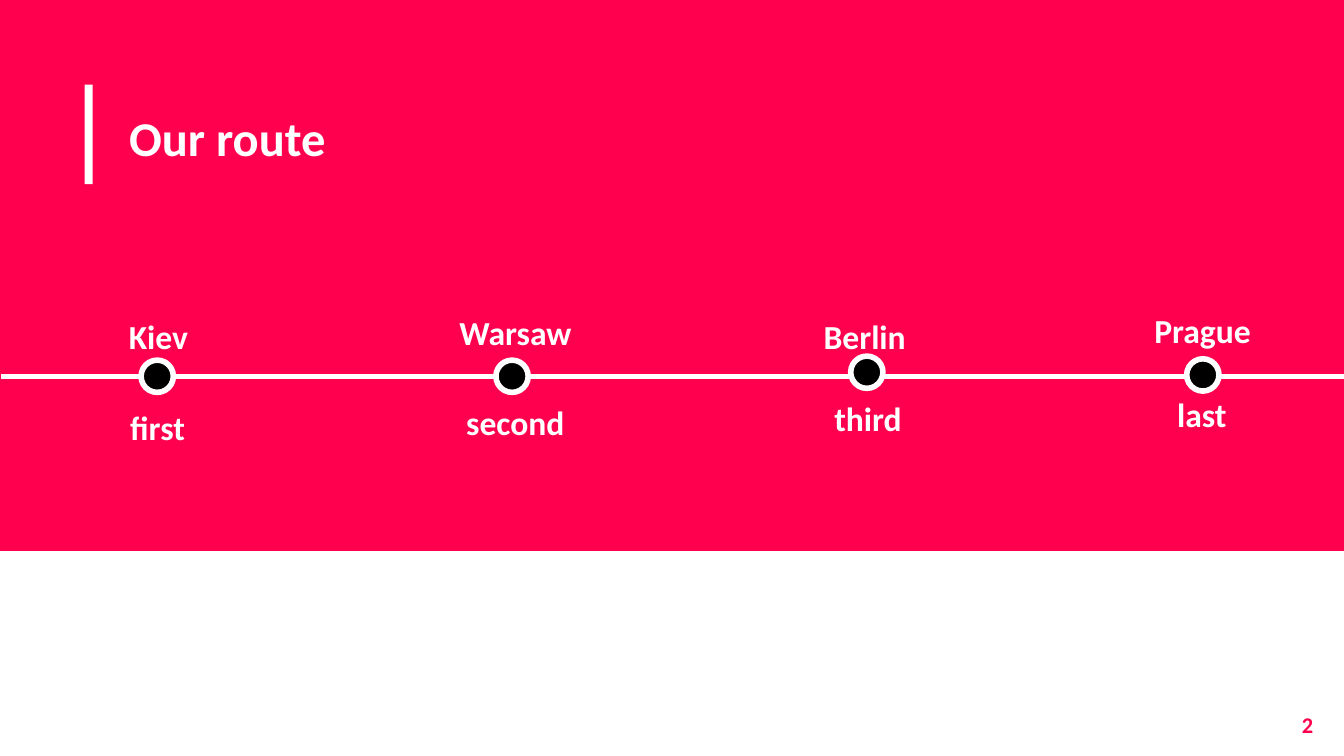
from dataclasses import dataclass

from pptx import Presentation
from pptx.dml.color import RGBColor
from pptx.enum.shapes import MSO_CONNECTOR as Connector, MSO_SHAPE as Shape
from pptx.enum.text import MSO_ANCHOR as Anchor, MSO_AUTO_SIZE as AutoSize, PP_ALIGN as Align
from pptx.oxml.ns import qn
from pptx.util import Inches, Pt


@dataclass(frozen=True)
class Theme:
    accent: RGBColor = RGBColor.from_string("FF004E")
    light: RGBColor = RGBColor.from_string("FFFFFF")
    dark: RGBColor = RGBColor.from_string("000000")
    font: str = "Calibri"
    title_size: int = 26
    label_size: int = 18
    number_size: int = 12
    stroke: int = 3


THEME = Theme()
SLIDE_WIDTH = 10
SLIDE_HEIGHT = SLIDE_WIDTH * 9 / 16
LINE_Y = 2.8
STOP_SIZE = 0.24
CITY_INSETS = (0.1, 0.05)
STEP_INSETS = (0.1, 0.1)

STOPS = [
    (1.05, 2.68, ("Kiev", (0.86, 2.3, 5.02, 0.4), CITY_INSETS),
     ("first", (0.87, 2.93, 1.29, 0.45), STEP_INSETS)),
    (3.69, 2.68, ("Warsaw", (3.32, 2.27, 5.02, 0.4), CITY_INSETS),
     ("second", (3.37, 2.89, 1.29, 0.45), STEP_INSETS)),
    (6.33, 2.65, ("Berlin", (6.03, 2.3, 5.02, 0.4), CITY_INSETS),
     ("third", (6.11, 2.86, 1.17, 0.45), STEP_INSETS)),
    (8.83, 2.67, ("Prague", (8.49, 2.26, 1.29, 0.4), CITY_INSETS),
     ("last", (8.66, 2.88, 1.09, 0.4), CITY_INSETS)),
]


def set_attributes(target, values):
    for name, value in values.items():
        setattr(target, name, value)


def write_text(holder, words, insets, size, color, align=Align.LEFT):
    side, top = map(Inches, insets)
    frame = holder.text_frame
    set_attributes(frame, {
        "text": words, "word_wrap": True, "auto_size": AutoSize.NONE,
        "vertical_anchor": Anchor.TOP, "margin_left": side, "margin_right": side,
        "margin_top": top, "margin_bottom": top,
    })
    paragraph = frame.paragraphs[0]
    paragraph.alignment = align
    font = paragraph.runs[0].font
    set_attributes(font, {"name": THEME.font, "size": Pt(size), "bold": True})
    font.color.rgb = color


def add_label(slide, words, box, insets, size=THEME.label_size, color=THEME.light,
              align=Align.LEFT):
    label = slide.shapes.add_textbox(*map(Inches, box))
    write_text(label, words, insets, size, color, align)


def add_filled(slide, kind, box, fill, outline=None):
    shape = slide.shapes.add_shape(kind, *map(Inches, box))
    shape.shadow.inherit = False
    shape.fill.solid()
    shape.fill.fore_color.rgb = fill
    if outline is None:
        shape.line.fill.background()
    else:
        shape.line.color.rgb = outline
        shape.line.width = Pt(THEME.stroke)


def add_title(slide, words, box):
    title = slide.shapes.title
    set_attributes(title, dict(zip(("left", "top", "width", "height"), map(Inches, box))))
    write_text(title, words, (0.1, 0.1), THEME.title_size, THEME.light)
    slide.shapes.element.append(title.element)


def add_route_line(slide, start, end, y):
    route = slide.shapes.add_connector(
        Connector.STRAIGHT, Inches(start), Inches(y), Inches(end), Inches(y))
    route.line.color.rgb = THEME.light
    route.line.width = Pt(THEME.stroke)
    properties = route.element.spPr
    properties.append(properties.makeelement(qn("a:effectLst"), {}))


def add_stop(slide, left, top, city, step):
    add_filled(slide, Shape.OVAL, (left, top, STOP_SIZE, STOP_SIZE), THEME.dark, THEME.light)
    for label in (city, step):
        add_label(slide, *label)


def main():
    deck = Presentation()
    deck.slide_width, deck.slide_height = Inches(SLIDE_WIDTH), Inches(SLIDE_HEIGHT)
    slide = deck.slides.add_slide(deck.slide_layouts.get_by_name("Title Only"))

    add_filled(slide, Shape.RECTANGLE, (0, 0, SLIDE_WIDTH, 4.1), THEME.accent)
    add_filled(slide, Shape.RECTANGLE, (0.63, 0.63, 0.06, 0.74), THEME.light)
    add_title(slide, "Our route", (0.86, 0.7, 3.53, 0.94))
    add_route_line(slide, 0.01, SLIDE_WIDTH, LINE_Y)
    for stop in STOPS:
        add_stop(slide, *stop)
    add_label(slide, "2", (9.27, 5.19, 0.6, 0.43), STEP_INSETS, THEME.number_size,
              THEME.accent, Align.RIGHT)

    deck.save("out.pptx")


if __name__ == "__main__":
    main()
